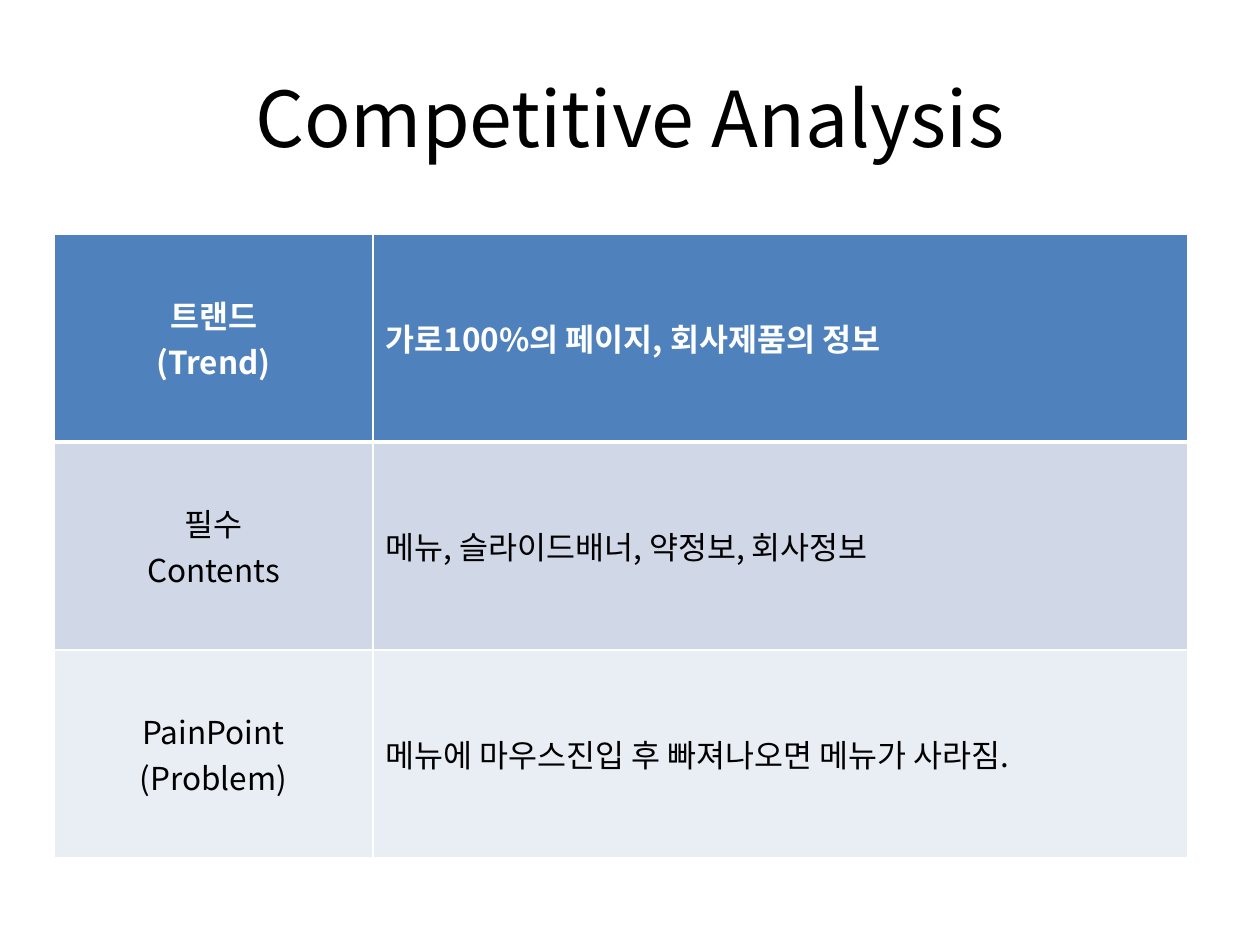
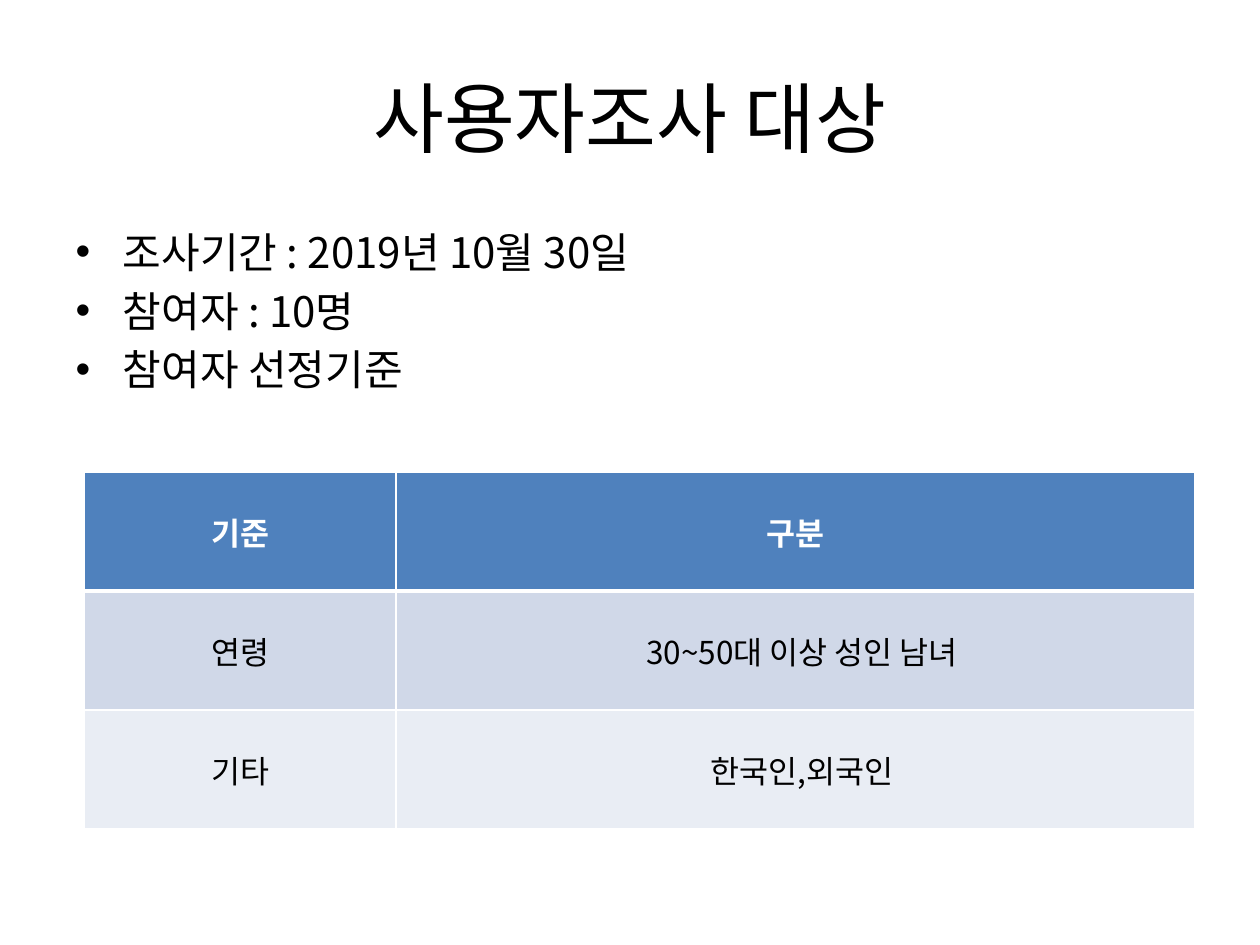
from lxml import etree
from pptx import Presentation
from pptx.dml.color import RGBColor
from pptx.enum.text import MSO_ANCHOR, PP_ALIGN
from pptx.oxml.ns import qn
from pptx.util import Pt

PX = 914400 / 126
FONT = "Noto Sans CJK KR"
BLACK = RGBColor(0x00, 0x00, 0x00)
WHITE = RGBColor(0xFF, 0xFF, 0xFF)
HEADER_BLUE = RGBColor(0x4F, 0x81, 0xBD)
BAND_FILLS = (RGBColor(0xD0, 0xD8, 0xE8), RGBColor(0xE9, 0xED, 0xF4))
LEFT, CENTER = PP_ALIGN.LEFT, PP_ALIGN.CENTER
MIDDLE = MSO_ANCHOR.MIDDLE
TITLE_ONLY, TITLE_AND_BODY = 5, 1
TITLE_BOX = (63, 38, 1134, 158)
BODY_BOX = (63, 220, 1134, 624)


def px(length):
    """Turn a length in px into EMU."""
    return round(length * PX)


def write_text(frame, text, size=18, color=BLACK, bold=False, align=LEFT):
    """Write each line of text as one formatted paragraph."""
    for index, line in enumerate(text.split("\n")):
        paragraph = frame.paragraphs[0] if index == 0 else frame.add_paragraph()
        paragraph.alignment = align
        run = paragraph.add_run()
        run.text = line
        run.font.size = Pt(size)
        run.font.bold = bold
        run.font.color.rgb = color
        run.font.name = FONT
        properties = run.font._element
        etree.SubElement(properties, qn("a:ea"), typeface=FONT)


def fill_placeholder(shape, box, text, **text_format):
    """Move a placeholder to its box and write its text."""
    shape.left, shape.top, shape.width, shape.height = map(px, box)
    write_text(shape.text_frame, text, **text_format)


def add_titled_slide(presentation, layout, title):
    """Add a slide with the shared title style."""
    slide = presentation.slides.add_slide(presentation.slide_layouts[layout])
    fill_placeholder(slide.shapes.title, TITLE_BOX, title, size=44, align=CENTER)
    slide.shapes.title.text_frame.vertical_anchor = MIDDLE
    return slide


def set_borders(cell, top, bottom):
    """Draw white cell borders, with top and bottom widths in points."""
    properties = cell._tc.get_or_add_tcPr()
    widths = {"a:lnL": 1, "a:lnR": 1, "a:lnT": top, "a:lnB": bottom}
    for index, (tag, width) in enumerate(widths.items()):
        line = etree.Element(qn(tag), w=str(Pt(width)))
        fill = etree.SubElement(line, qn("a:solidFill"))
        etree.SubElement(fill, qn("a:srgbClr"), val=str(WHITE))
        properties.insert(index, line)


def add_banded_table(slide, left, top, column_widths, row_height, rows, aligns):
    """Add a table with a blue header row and two alternating bands."""
    frame = slide.shapes.add_table(
        len(rows), len(column_widths), px(left), px(top),
        px(sum(column_widths)), px(row_height * len(rows)))
    table = frame.table
    table.first_row = table.horz_banding = False
    for column, width in zip(table.columns, column_widths):
        column.width = px(width)
    for row_index, texts in enumerate(rows):
        table.rows[row_index].height = px(row_height)
        is_header = row_index == 0
        fill_color = HEADER_BLUE if is_header else BAND_FILLS[(row_index - 1) % 2]
        for column_index, text in enumerate(texts):
            cell = table.cell(row_index, column_index)
            cell.vertical_anchor = MIDDLE
            set_borders(cell, top=3 if row_index == 1 else 1,
                        bottom=3 if is_header else 1)
            cell.fill.solid()
            cell.fill.fore_color.rgb = fill_color
            write_text(cell.text_frame, text, bold=is_header,
                       color=WHITE if is_header else BLACK,
                       align=aligns[column_index])
    return table


def add_competitive_analysis(presentation):
    """Build the slide on competitors."""
    slide = add_titled_slide(presentation, TITLE_ONLY, "Competitive Analysis")
    rows = [
        ("트랜드\n(Trend)", "가로100%의 페이지, 회사제품의 정보"),
        ("필수\nContents", "메뉴, 슬라이드배너, 약정보, 회사정보"),
        ("PainPoint\n(Problem)", "메뉴에 마우스진입 후 빠져나오면 메뉴가 사라짐."),
    ]
    add_banded_table(slide, 54, 234, (319, 815), 208, rows, (LEFT, LEFT)[:0] + (CENTER, LEFT))


def add_survey_participants(presentation):
    """Build the slide on the people surveyed."""
    slide = add_titled_slide(presentation, TITLE_AND_BODY, "사용자조사 대상")
    facts = "조사기간 : 2019년 10월 30일\n참여자 : 10명\n참여자 선정기준"
    fill_placeholder(slide.placeholders[1], BODY_BOX, facts, size=24)
    rows = [
        ("기준", "구분"),
        ("연령", "30~50대 이상 성인 남녀"),
        ("기타", "한국인,외국인"),
    ]
    table = add_banded_table(slide, 84, 472, (312, 799), 119, rows, (CENTER, CENTER))
    for row_index in range(1, len(rows)):
        table.cell(row_index, 1).margin_left = px(26)


def main():
    """Build and save the presentation."""
    presentation = Presentation()
    presentation.slide_width, presentation.slide_height = px(1260), px(945)
    add_competitive_analysis(presentation)
    add_survey_participants(presentation)
    presentation.save("out.pptx")


if __name__ == "__main__":
    main()
